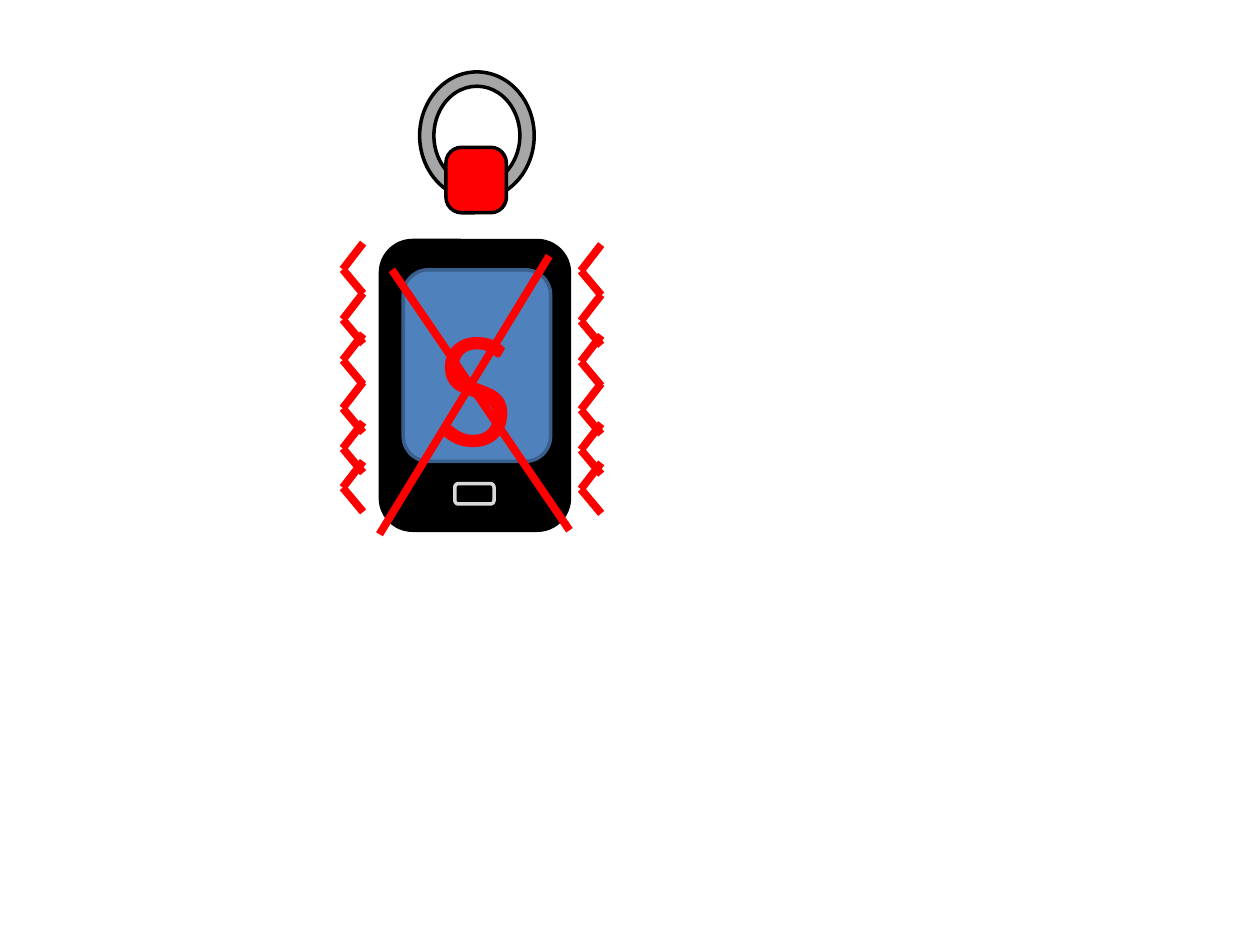
"""Build a slide with a crossed-out vibrating phone below a key ring."""
from lxml.etree import SubElement
from pptx import Presentation
from pptx.dml.color import RGBColor
from pptx.enum.shapes import MSO_CONNECTOR, MSO_SHAPE
from pptx.enum.text import MSO_AUTO_SIZE
from pptx.oxml.ns import qn
from pptx.util import Cm, Pt

COLORS = {
    "red": "FF0000",
    "black": "000000",
    "ring": "A6A6A6",
    "screen": "4F81BD",
    "screen edge": "3A5F8C",
    "button edge": "D9D9D9",
}

ROUNDED = MSO_SHAPE.ROUNDED_RECTANGLE
PARTS = [
    (MSO_SHAPE.DONUT, (8.46, 1.45, 2.31, 2.57), 0.125, "ring", "black"),
    (ROUNDED, (8.99, 2.97, 1.22, 1.32), 0.26, "red", "black"),
    (ROUNDED, (7.67, 4.85, 3.81, 5.84), 0.17, "black", "black"),
    (ROUNDED, (8.13, 5.44, 2.97, 3.86), 0.17, "screen", "screen edge"),
    (ROUNDED, (9.17, 9.75, 0.79, 0.41), 0.17, "black", "button edge"),
]
CHEVRON_TOPS = [4.9, 5.91, 6.73, 7.7, 8.51, 9.3]
CHEVRON_WIDTH, CHEVRON_FOLD, CHEVRON_HEIGHT = 0.41, 0.53, 1.02
WAVES = [(6.91, 0), (11.71, 0.03)]
CROSS = [(7.9, 5.44, 11.48, 10.69), (11.07, 5.16, 7.65, 10.77)]
LETTER_FORMAT = {"name": "Calibri", "size": Pt(96)}
FRAME_FORMAT = {"word_wrap": False, "auto_size": MSO_AUTO_SIZE.SHAPE_TO_FIT_TEXT}


def color(name):
    """Return the named colour."""
    return RGBColor.from_string(COLORS[name])


def set_attributes(target, values):
    """Set each attribute in values on target."""
    for name, value in values.items():
        setattr(target, name, value)


def add_part(slide, kind, box, adjustment, fill, edge):
    """Add one filled, outlined preset shape."""
    shape = slide.shapes.add_shape(kind, *map(Cm, box))
    shape.shadow.inherit = False
    shape.adjustments[0] = adjustment
    shape.fill.solid()
    shape.fill.fore_color.rgb = color(fill)
    shape.line.color.rgb = color(edge)
    shape.line.width = Pt(2)


def add_stroke(slide, *ends):
    """Add one thick red line."""
    connector = slide.shapes.add_connector(MSO_CONNECTOR.STRAIGHT, *map(Cm, ends))
    connector.line.color.rgb = color("red")
    connector.line.width = Pt(4.5)
    SubElement(connector._element.spPr, qn("a:effectLst"))


def add_wave(slide, left, offset):
    """Add a column of chevrons that shows vibration."""
    right = left + CHEVRON_WIDTH
    for top in CHEVRON_TOPS:
        start = top + offset
        fold = start + CHEVRON_FOLD
        for end in (start, start + CHEVRON_HEIGHT):
            add_stroke(slide, right, end, left, fold)


def add_letter(slide, text, box):
    """Add the large red letter."""
    frame = slide.shapes.add_textbox(*map(Cm, box)).text_frame
    set_attributes(frame, FRAME_FORMAT)
    run = frame.paragraphs[0].add_run()
    run.text = text
    set_attributes(run.font, LETTER_FORMAT)
    run.font.color.rgb = color("red")


def main():
    """Build and save the presentation."""
    presentation = Presentation()
    presentation.slide_width = Cm(25.4)
    presentation.slide_height = Cm(19.05)
    slide = presentation.slides.add_slide(presentation.slide_layouts[6])
    for part in PARTS:
        add_part(slide, *part)
    for wave in WAVES:
        add_wave(slide, *wave)
    for ends in CROSS:
        add_stroke(slide, *ends)
    add_letter(slide, "S", (8.56, 5.49, 2.08, 4.37))
    presentation.save("out.pptx")


if __name__ == "__main__":
    main()
